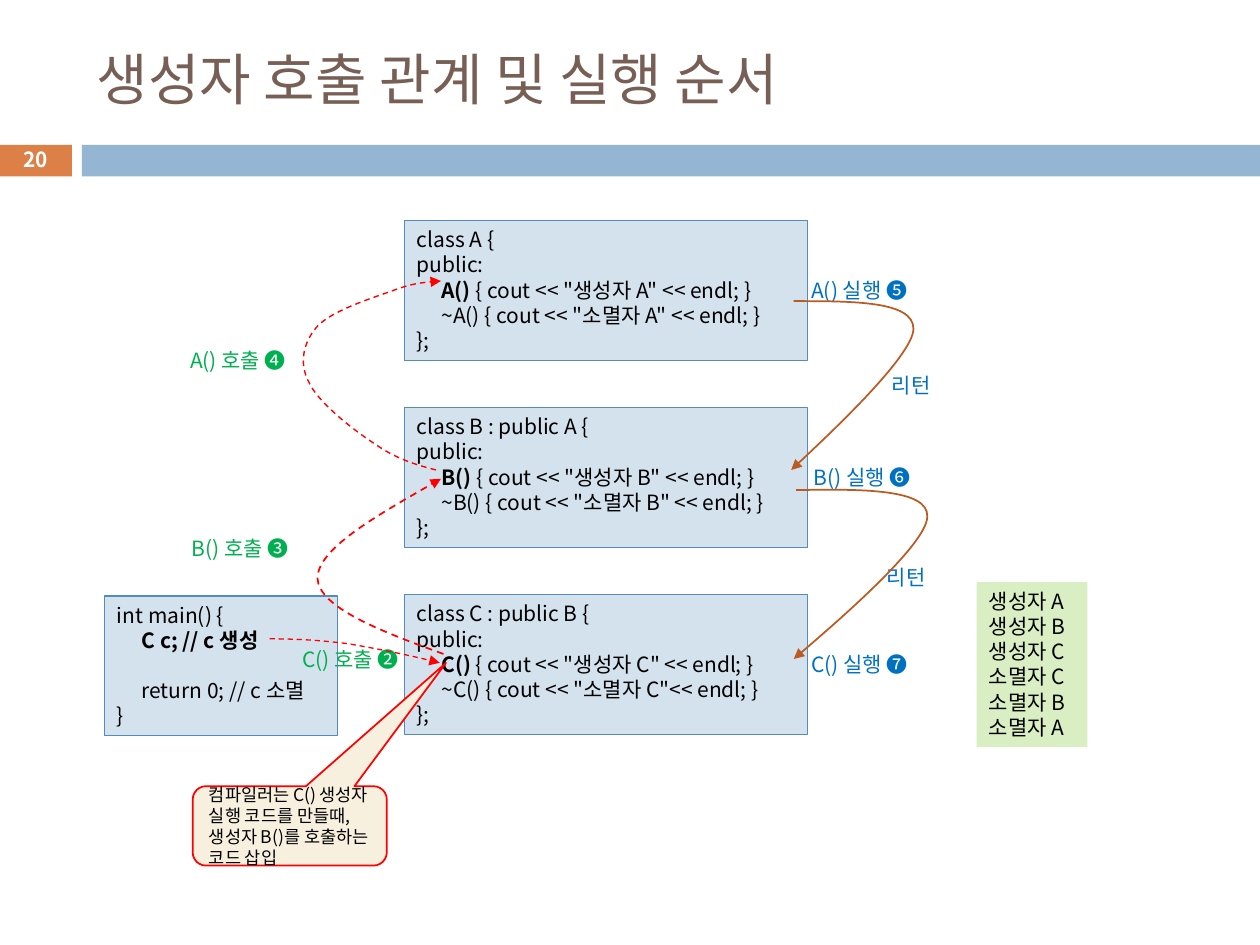
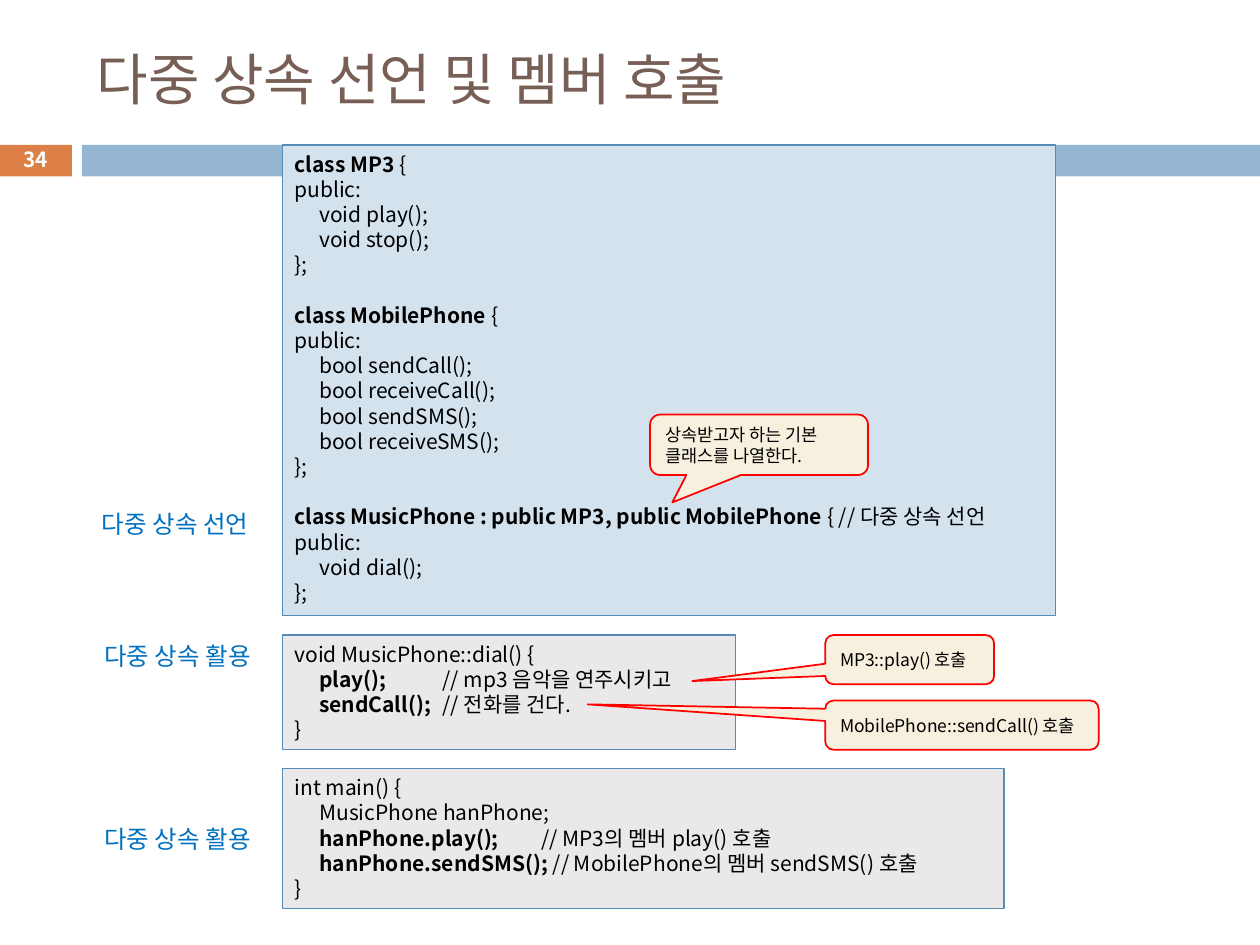
from lxml import etree
from pptx import Presentation
from pptx.dml.color import RGBColor
from pptx.enum.dml import MSO_LINE
from pptx.enum.shapes import MSO_SHAPE as Preset
from pptx.enum.text import MSO_ANCHOR as Anchor, PP_ALIGN as Align
from pptx.oxml.ns import qn
from pptx.util import Inches, Pt

FONT = "Noto Sans CJK KR"
BLACK, WHITE, RED = "000000", "FFFFFF", "FF0000"
BROWN, ORANGE, BAND_BLUE = "775F55", "DD8047", "94B6D2"
CODE_BLUE, CODE_GRAY, CODE_EDGE = "D4E2ED", "EAE8E8", "558BB8"
CALL_GREEN, RUN_BLUE, RETURN_BROWN = "00B050", "0070C0", "B95B22"
CREAM, LIME = "F7F0DE", "DAEEC4"

SLIDE_W, SLIDE_H = 10, 7.5
INSET = 0.05          # upper and lower text margin
LINE_H = 0.202        # height of one code line
TAB, TAB_COUNT = 0.196, 12

# Slide 1. Double asterisks enclose bold code; "" leaves a one-line gap.
CLASS_HEADS = {"A": "class A {", "B": "class B : public A {", "C": "class C : public B {"}
CLASS_LEFT, CLASS_TOP, CLASS_STEP, CLASS_W = 3.21, 1.75, 1.485, 3.2
MAIN_CODE = ["int main() {", "\t**C c; // c 생성**", "", "\treturn 0; // c 소멸", "}"]
OUTPUT = ["생성자 A", "생성자 B", "생성자 C", "소멸자 C", "소멸자 B", "소멸자 A"]
CALL_LABELS = [  # text, left, top, width, colour
    ("A() 실행 ❺", 6.34, 2.15, 1.02, RUN_BLUE),
    ("B() 실행 ❻", 6.36, 3.64, 1.01, RUN_BLUE),
    ("C() 실행 ❼", 6.34, 5.12, 1.11, RUN_BLUE),
    ("C() 호출 ❷", 2.3, 5.08, 1.02, CALL_GREEN),
    ("B() 호출 ❸", 1.42, 4.2, 1.01, CALL_GREEN),
    ("A() 호출 ❹", 1.41, 2.71, 1.02, CALL_GREEN),
    ("리턴", 6.98, 2.91, 0.54, RUN_BLUE),
    ("리턴", 6.94, 4.43, 0.54, RUN_BLUE),
]
# Start point, then two control points and an end point for each Bézier segment
CALL_CURVES = [
    [(3.46, 3.73), (3.3, 3.69), (3.14, 3.64), (2.97, 3.52),
     (2.8, 3.41), (2.52, 3.19), (2.45, 3.03),
     (2.37, 2.88), (2.41, 2.71), (2.52, 2.59),
     (2.63, 2.47), (2.94, 2.37), (3.11, 2.31),
     (3.27, 2.25), (3.38, 2.24), (3.5, 2.23)],
    [(2.14, 5.07), (2.34, 5.07), (2.54, 5.08), (2.77, 5.11),
     (3, 5.15), (3.25, 5.2), (3.49, 5.26)],
    [(3.52, 5.19), (3.02, 5.01), (2.53, 4.82), (2.52, 4.59),
     (2.52, 4.36), (3.01, 4.08), (3.5, 3.8)],
]
CALL_WIDTHS = [0.79, 0.75, 1]
RETURN_CURVES = [
    [(6.3, 2.39), (6.78, 2.39), (7.25, 2.39), (7.25, 2.61),
     (7.25, 2.83), (6.28, 3.73), (6.28, 3.73)],
    [(6.32, 3.89), (6.84, 3.88), (7.37, 3.88), (7.36, 4.1),
     (7.36, 4.33), (6.3, 5.23), (6.3, 5.23)],
]
COMPILER_CALLOUT = ("컴파일러는 C() 생성자 실행 코드를 만들때, 생성자 B()를 호출하는 코드 삽입",
                    (1.53, 6.24, 1.54, 0.63), (0.805, -2.054))

# Slide 2
PHONE_LEFT = 2.24
PHONE_CODE = [  # top, width, fill, lines
    (1.15, 6.14, CODE_BLUE, [
        "**class MP3 **{", "public:", "\tvoid play();", "\tvoid stop();", "};", "",
        "**class MobilePhone **{", "public:", "\tbool sendCall();",
        "\tbool receiveCall();", "\tbool sendSMS();", "\tbool receiveSMS();", "};", "",
        "**class MusicPhone : public MP3, public MobilePhone **{ // 다중 상속 선언",
        "public:", "\tvoid dial();", "};"]),
    (5.04, 3.6, CODE_GRAY, [
        "void MusicPhone::dial() {", "\t**play(); \t\t\t**// mp3 음악을 연주시키고",
        "\t**sendCall(); \t**// 전화를 건다.", "}"]),
    (6.1, 5.73, CODE_GRAY, [
        "int main() {", "\tMusicPhone hanPhone;",
        "\t**hanPhone.play(); \t\t**// MP3의 멤버 play() 호출",
        "\t**hanPhone.sendSMS(); **// MobilePhone의 멤버 sendSMS() 호출", "}"]),
]
PHONE_CALLOUTS = [  # text, place, pointer tip as shares of the size
    ("상속받고자 하는 기본 클래스를 나열한다.", (5.16, 3.29, 1.73, 0.48), (-0.398, 0.953)),
    ("MP3::play() 호출", (6.55, 5.04, 1.34, 0.39), (-1.288, 0.436)),
    ("MobilePhone::sendCall() 호출", (6.55, 5.56, 2.17, 0.39), (-1.369, -0.422)),
]
SIDE_LABELS = [("다중 상속 선언", 0.71, 3.99), ("다중 상속 활용", 0.73, 5.04),
               ("다중 상속 활용", 0.73, 6.49)]


def rgb(value):
    return RGBColor.from_string(value)


def add_tab_stops(para):
    stops = etree.SubElement(para._p.get_or_add_pPr(), qn("a:tabLst"))
    for number in range(1, TAB_COUNT + 1):
        etree.SubElement(stops, qn("a:tab"), pos=str(Inches(TAB * number)), algn="l")


def write(box, lines, size=12, color=BLACK, bold=False, anchor=Anchor.TOP, align=Align.LEFT):
    """Fill a box with lines; an empty line becomes space before the next one."""
    frame = box.text_frame
    frame.word_wrap = True
    frame.vertical_anchor = anchor
    gap, first = 0, True
    for line in lines:
        if not line:
            gap += 1
            continue
        para = frame.paragraphs[0] if first else frame.add_paragraph()
        first = False
        para.alignment = align
        para.line_spacing = Pt(size * 1.2)
        if gap:
            para.space_before = Pt(size * 1.2 * gap)
            gap = 0
        if "\t" in line:
            add_tab_stops(para)
        for index, part in enumerate(line.split("**")):
            if part:
                span = para.add_run()
                span.text = part
                font = span.font
                font.name, font.size = FONT, Pt(size)
                font.bold = bold or index % 2 == 1
                font.color.rgb = rgb(color)


def add_box(page, place, fill, edge=None, width=0.75, preset=Preset.RECTANGLE):
    box = page.shapes.add_shape(preset, *map(Inches, place))
    box.shadow.inherit = False
    box.fill.solid()
    box.fill.fore_color.rgb = rgb(fill)
    if edge:
        box.line.color.rgb = rgb(edge)
        box.line.width = Pt(width)
    else:
        box.line.fill.background()
    return box


def add_label(page, text, place, **style):
    write(page.shapes.add_textbox(*map(Inches, place)), [text], **style)


def add_code(page, left, top, width, lines, fill=CODE_BLUE):
    height = 2 * INSET + LINE_H * len(lines)
    write(add_box(page, (left, top, width, height), fill, CODE_EDGE), lines)


def add_callout(page, text, place, tip):
    box = add_box(page, place, CREAM, RED, 1, Preset.ROUNDED_RECTANGULAR_CALLOUT)
    box.adjustments[0], box.adjustments[1] = tip
    write(box, [text], size=10, anchor=Anchor.MIDDLE)


def bend(outline):
    """Turn every three straight segments into one cubic Bézier segment."""
    route = next(outline._element.iter(qn("a:path")))
    sides = route.findall(qn("a:lnTo"))
    for start in range(0, len(sides), 3):
        curve = etree.SubElement(route, qn("a:cubicBezTo"))
        for side in sides[start:start + 3]:
            curve.append(side[0])
            route.remove(side)


def add_arrow(page, knots, color, width, dashed=False):
    start, *rest = [tuple(map(Inches, knot)) for knot in knots]
    builder = page.shapes.build_freeform(*start)
    builder.add_line_segments(rest, close=False)
    arrow = builder.convert_to_shape()
    bend(arrow)
    arrow.shadow.inherit = False
    arrow.fill.background()
    arrow.line.color.rgb = rgb(color)
    arrow.line.width = Pt(width)
    if dashed:
        arrow.line.dash_style = MSO_LINE.DASH
    etree.SubElement(arrow._element.spPr.find(qn("a:ln")), qn("a:tailEnd"), type="triangle")


def add_page(deck, title, number):
    page = deck.slides.add_slide(deck.slide_layouts[6])
    add_box(page, (-0.01, 1.15, 0.58, 0.25), ORANGE)
    add_box(page, (0.65, 1.15, SLIDE_W - 0.65, 0.25), BAND_BLUE)
    add_label(page, title, (0.67, 0.25, 8.92, 0.74), size=32, color=BROWN, anchor=Anchor.MIDDLE)
    add_label(page, number, (-0.01, 1.13, 0.58, 0.27), size=11.9, color=WHITE, bold=True,
              anchor=Anchor.MIDDLE, align=Align.CENTER)
    return page


def class_code(name):
    space = "" if name == "C" else " "
    return [CLASS_HEADS[name], "public:",
            f'\t**{name}() **{{ cout << "생성자 {name}" << endl; }}',
            f'\t~{name}() {{ cout << "소멸자 {name}"{space}<< endl; }}', "};"]


def build_constructor_page(deck):
    page = add_page(deck, "생성자 호출 관계 및 실행 순서", "20")
    for row, name in enumerate(CLASS_HEADS):
        add_code(page, CLASS_LEFT, CLASS_TOP + CLASS_STEP * row, CLASS_W, class_code(name))
    add_code(page, 0.83, 4.73, 1.85, MAIN_CODE)
    for text, left, top, width, color in CALL_LABELS:
        add_label(page, text, (left, top, width, 0.3), color=color)
    for knots, width in zip(CALL_CURVES, CALL_WIDTHS):
        add_arrow(page, knots, RED, width, dashed=True)
    for knots in RETURN_CURVES:
        add_arrow(page, knots, RETURN_BROWN, 1)
    write(add_box(page, (7.75, 4.62, 0.88, 1.31), LIME), OUTPUT)
    add_callout(page, *COMPILER_CALLOUT)


def build_inheritance_page(deck):
    page = add_page(deck, "다중 상속 선언 및 멤버 호출", "34")
    for top, width, fill, lines in PHONE_CODE:
        add_code(page, PHONE_LEFT, top, width, lines, fill)
    for callout in PHONE_CALLOUTS:
        add_callout(page, *callout)
    for text, left, top in SIDE_LABELS:
        add_label(page, text, (left, top, 1.52, 0.34), size=14, color=RUN_BLUE)


def main():
    deck = Presentation()
    deck.slide_width, deck.slide_height = Inches(SLIDE_W), Inches(SLIDE_H)
    build_constructor_page(deck)
    build_inheritance_page(deck)
    deck.save("out.pptx")


if __name__ == "__main__":
    main()
